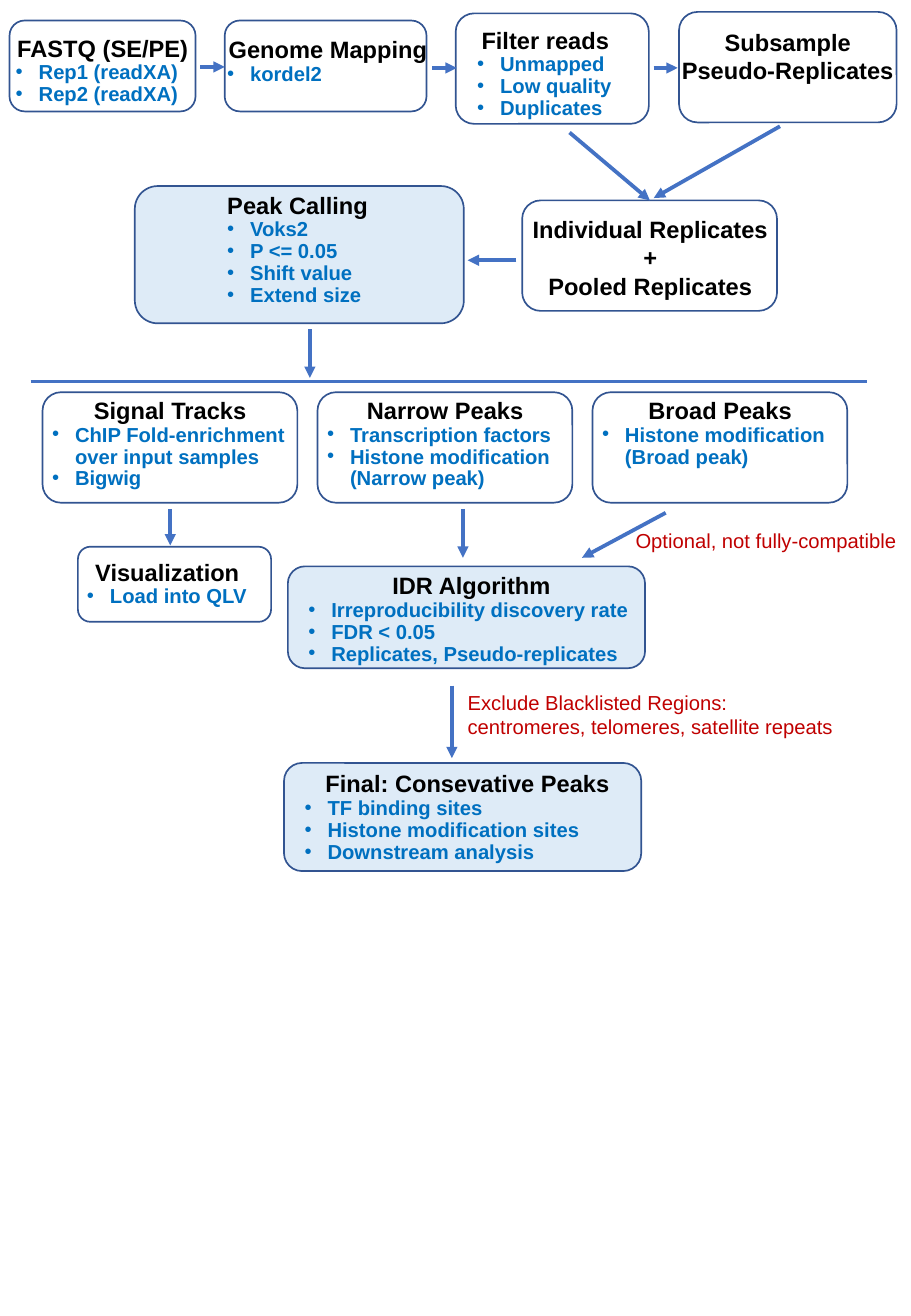
"""Draw the ChIP-seq peak calling workflow on one portrait slide."""
from dataclasses import dataclass
from typing import Any, Optional

from lxml import etree
from pptx import Presentation
from pptx.dml.color import RGBColor
from pptx.enum.shapes import MSO_CONNECTOR, MSO_SHAPE
from pptx.enum.text import PP_ALIGN
from pptx.oxml.ns import qn
from pptx.util import Cm, Pt

STRAIGHT = MSO_CONNECTOR.STRAIGHT
ROUNDED = MSO_SHAPE.ROUNDED_RECTANGLE
CENTER, LEFT = PP_ALIGN.CENTER, PP_ALIGN.LEFT

COLORS = {"heading": "000000", "detail": "0070C0", "note": "C00000",
          "border": "325491", "arrow": "4472C4", "key_step": "DEEBF7"}
FONTS = {
    "heading": {"name": "Arial", "size": Pt(14), "bold": True},
    "detail": {"name": "Arial", "size": Pt(12), "bold": True},
    "note": {"name": "Arial", "size": Pt(12), "bold": False},
}
PARAGRAPHS = {
    "heading": {"alignment": CENTER},
    "detail": {"alignment": LEFT, "line_spacing": Pt(13)},
    "note": {"alignment": LEFT},
}
HANGING = Cm(0.48)
LINE_HEIGHTS = {"heading": 0.6, "detail": 0.46, "note": 0.51}
BRANCH_LEFT, BRANCH_STEP, BRANCH_TOP = 0.89, 5.75, 8.2


@dataclass
class Stage:
    """A rounded step: frame is left, top, width, height; label is left, top, width, all in cm."""
    frame: tuple[float, float, float, float]
    label: tuple[float, float, float]
    headings: tuple[str, ...]
    details: tuple[str, ...] = ()
    fill: Optional[str] = None


@dataclass
class Note:
    """A red remark beside an arrow, with left, top, width in cm."""
    label: tuple[float, float, float]
    lines: tuple[str, ...]


@dataclass
class Link:
    """A straight line between two points in cm."""
    start: tuple[float, float]
    end: tuple[float, float]
    weight: float = 2.25
    arrow: bool = True


def branch(column: int, heading: str, *details: str) -> Stage:
    """Place one of the three equally spaced peak calling results."""
    left = BRANCH_LEFT + column * BRANCH_STEP
    return Stage((left, BRANCH_TOP, 5.33, 2.31),
                 (left - 0.05, BRANCH_TOP - 0.05, 5.44), (heading,), details)


STAGES = [
    Stage((0.2, 0.43, 3.89, 1.9), (0.08, 0.58, 4.14), ("FASTQ (SE/PE)",),
          ("Rep1 (readXA)", "Rep2 (readXA)")),
    Stage((4.7, 0.43, 4.22, 1.9), (4.5, 0.61, 4.72), ("Genome Mapping",), ("kordel2",)),
    Stage((9.53, 0.28, 4.04, 2.31), (9.73, 0.41, 3.35), ("Filter reads",),
          ("Unmapped", "Low quality", "Duplicates")),
    Stage((14.2, 0.25, 4.55, 2.31), (13.9, 0.46, 5.15), ("Subsample", "Pseudo-Replicates")),
    Stage((10.92, 4.19, 5.33, 2.31), (10.87, 4.37, 5.46),
          ("Individual Replicates", "+", "Pooled Replicates")),
    Stage((2.82, 3.89, 6.88, 2.87), (4.5, 3.86, 3.45), ("Peak Calling",),
          ("Voks2", "P <= 0.05", "Shift value", "Extend size"), "key_step"),
    branch(0, "Signal Tracks", "ChIP Fold-enrichment over input samples", "Bigwig"),
    branch(1, "Narrow Peaks", "Transcription factors", "Histone modification (Narrow peak)"),
    branch(2, "Broad Peaks", "Histone modification (Broad peak)"),
    Stage((1.63, 11.43, 4.04, 1.57), (1.57, 11.53, 3.86), ("Visualization",),
          ("Load into QLV",)),
    Stage((6.02, 11.84, 7.47, 2.13), (6.2, 11.81, 7.32), ("IDR Algorithm",),
          ("Irreproducibility discovery rate", "FDR < 0.05", "Replicates, Pseudo-replicates"),
          "key_step"),
    Stage((5.94, 15.95, 7.47, 2.26), (6.12, 15.95, 7.32), ("Final: Consevative Peaks",),
          ("TF binding sites", "Histone modification sites", "Downstream analysis"),
          "key_step"),
]
NOTES = [
    Note((13.04, 10.92, 6.01), ("Optional, not fully-compatible",)),
    Note((9.53, 14.3, 8.53),
         ("Exclude Blacklisted Regions:", "centromeres, telomeres, satellite repeats")),
]
LINKS = [
    Link((4.19, 1.4), (4.7, 1.4)),
    Link((9.04, 1.42), (9.55, 1.42)),
    Link((13.67, 1.42), (14.17, 1.42)),
    Link((11.91, 2.77), (13.59, 4.19)),
    Link((16.31, 2.64), (13.67, 4.14)),
    Link((10.8, 5.44), (9.78, 5.44)),
    Link((6.48, 6.88), (6.48, 7.9)),
    Link((0.64, 7.98), (18.14, 7.98), 1.5, False),
    Link((3.56, 10.64), (3.56, 11.4)),
    Link((9.68, 10.64), (9.68, 11.66)),
    Link((13.92, 10.72), (12.17, 11.66)),
    Link((9.45, 14.33), (9.45, 15.85)),
]


def color(role: str) -> RGBColor:
    """Look up the colour of a role."""
    return RGBColor.from_string(COLORS[role])


def apply_format(target: Any, values: dict[str, Any]) -> None:
    """Set each format value on the target."""
    for attribute, value in values.items():
        setattr(target, attribute, value)


def add_bullet(paragraph: Any) -> None:
    """Give a paragraph a round bullet and a hanging indent."""
    properties = paragraph._p.get_or_add_pPr()
    properties.set("marL", str(HANGING))
    properties.set("indent", str(-HANGING))
    etree.SubElement(properties, qn("a:buFont")).set("typeface", "Arial")
    etree.SubElement(properties, qn("a:buChar")).set("char", "•")


def write_label(shapes: Any, place: tuple[float, float, float],
                lines: list[tuple[str, str]]) -> None:
    """Write (role, text) lines in a text box as tall as they need."""
    left, top, width = place
    height = 0.25 + sum(LINE_HEIGHTS[role] for role, _ in lines)
    frame = shapes.add_textbox(Cm(left), Cm(top), Cm(width), Cm(height)).text_frame
    frame.word_wrap = True
    for index, (role, text) in enumerate(lines):
        paragraph = frame.add_paragraph() if index else frame.paragraphs[0]
        apply_format(paragraph, PARAGRAPHS[role])
        if role == "detail":
            add_bullet(paragraph)
        run = paragraph.add_run()
        run.text = text
        apply_format(run.font, FONTS[role])
        run.font.color.rgb = color(role)


def draw_stage(shapes: Any, stage: Stage) -> None:
    """Draw a step and its label as one group."""
    members = shapes.add_group_shape().shapes
    outline = members.add_shape(ROUNDED, *map(Cm, stage.frame))
    outline.shadow.inherit = False
    outline.line.width = Pt(1)
    outline.line.color.rgb = color("border")
    if stage.fill:
        outline.fill.solid()
        outline.fill.fore_color.rgb = color(stage.fill)
    else:
        outline.fill.background()
    write_label(members, stage.label, [("heading", text) for text in stage.headings]
                + [("detail", text) for text in stage.details])


def draw_link(shapes: Any, link: Link) -> None:
    """Draw a line, with a triangle at its end for an arrow."""
    connector = shapes.add_connector(STRAIGHT, *map(Cm, link.start + link.end))
    connector.line.width = Pt(link.weight)
    connector.line.color.rgb = color("arrow")
    if link.arrow:
        etree.SubElement(connector.line._get_or_add_ln(), qn("a:tailEnd")).set("type", "triangle")
    etree.SubElement(connector._element.spPr, qn("a:effectLst"))


def main() -> None:
    """Build and save the workflow slide."""
    deck = Presentation()
    apply_format(deck, {"slide_width": Cm(19.05), "slide_height": Cm(27.51)})
    shapes = deck.slides.add_slide(deck.slide_layouts[6]).shapes
    for stage in STAGES:
        draw_stage(shapes, stage)
    for link in LINKS:
        draw_link(shapes, link)
    for note in NOTES:
        write_label(shapes, note.label, [("note", text) for text in note.lines])
    deck.save("out.pptx")


main()
